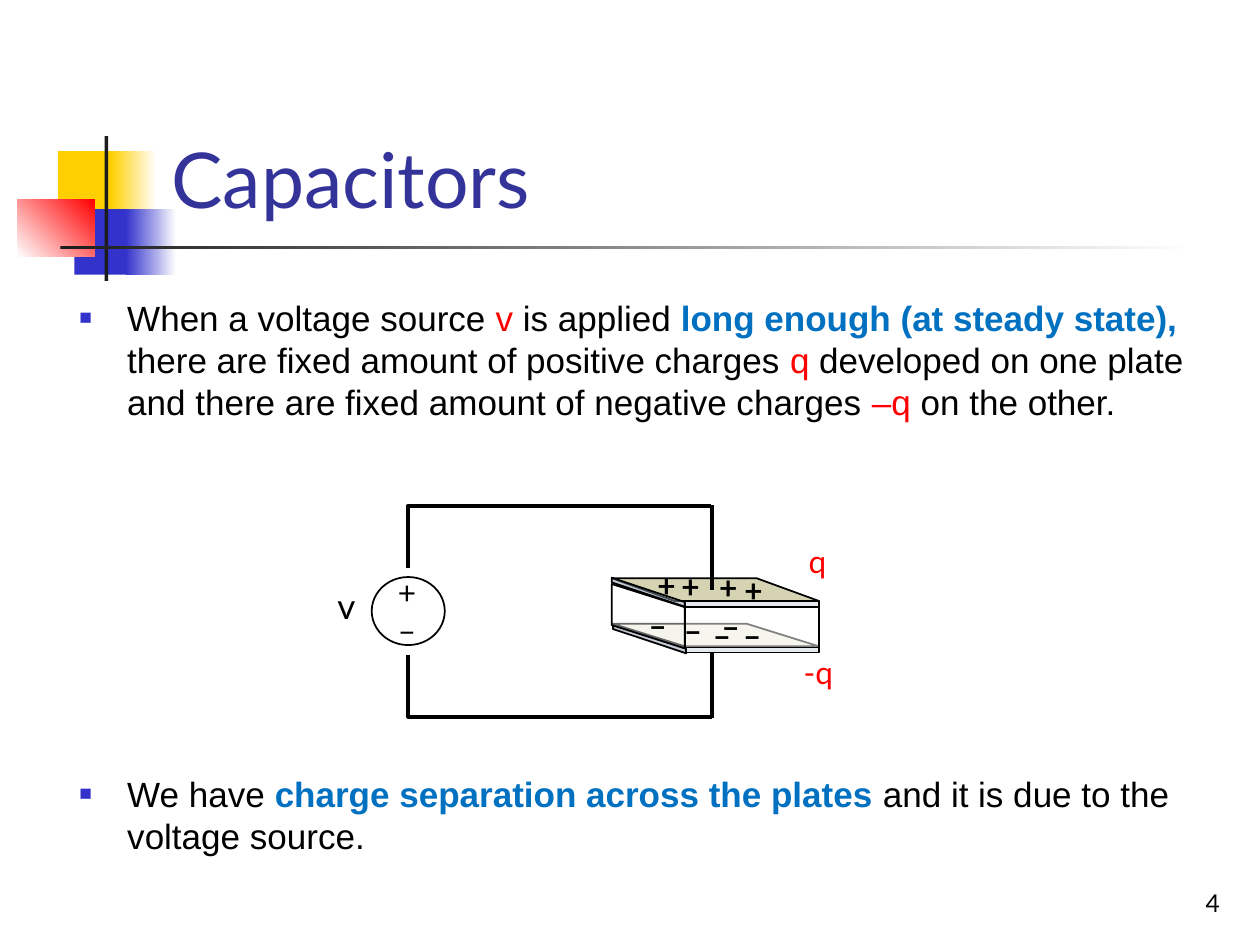
from lxml import etree
from pptx import Presentation
from pptx.dml.color import RGBColor
from pptx.enum import shapes, text
from pptx.oxml import ns
from pptx.util import Inches, Pt

BLACK, WHITE = RGBColor(0, 0, 0), RGBColor(255, 255, 255)
RED, YELLOW = RGBColor(255, 0, 0), RGBColor(0xFF, 0xCF, 0x01)
BLUE, ACCENT = RGBColor(0x33, 0x33, 0xCC), RGBColor(0x00, 0x70, 0xC0)
NAVY, CHARCOAL = RGBColor(0x33, 0x33, 0x99), RGBColor(0x1C, 0x1C, 0x1C)
OLIVE, STEEL = RGBColor(0xAC, 0xA9, 0x64), RGBColor(0x84, 0x95, 0xA9)
RECT = shapes.MSO_SHAPE.RECTANGLE
SLANT = shapes.MSO_SHAPE.PARALLELOGRAM
CENTER, RIGHT = text.PP_ALIGN.CENTER, text.PP_ALIGN.RIGHT

TITLE = "Capacitors"
# Space before in points, then (words, colour, bold)
BULLETS = [
    (0, [("When a voltage source ", BLACK, False), ("v", RED, False),
         (" is applied ", BLACK, False),
         ("long enough (at steady state), ", ACCENT, True),
         ("there are fixed amount of positive charges ", BLACK, False),
         ("q", RED, False),
         (" developed on one plate and there are fixed amount of negative charges ", BLACK, False),
         ("–q ", RED, False), ("on the other.", BLACK, False)]),
    (200, [("We have ", BLACK, False),
           ("charge separation across the plates ", ACCENT, True),
           ("and it is due to the voltage source.", BLACK, False)]),
]
# Box, start colour, end colour (None if solid), gradient angle
ORNAMENTS = [
    ((0.46, 1.2, 0.48, 0.52), YELLOW, None, 0),
    ((0.88, 1.2, 0.36, 0.52), YELLOW, WHITE, 0),
    ((0.59, 1.66, 0.46, 0.52), BLUE, None, 0),
    ((1, 1.66, 0.4, 0.52), BLUE, WHITE, 0),
    ((0.14, 1.58, 0.61, 0.46), WHITE, RED, 45),
    ((0.83, 1.08, 0.03, 1.15), CHARCOAL, None, 0),
    ((0.48, 1.95, 9, 0.03), CHARCOAL, WHITE, 0),
]
# Preset, box, colour, opacity %, slant, rotation, flipped vertically
PLATES = [
    (SLANT, (4.86, 4.59, 1.64, 0.18), OLIVE, 50, 2.74, 0, True),
    (RECT, (5.44, 4.77, 1.06, 0.05), STEEL, 20, None, 0, False),
    (SLANT, (5.03, 4.41, 0.23, 0.58), STEEL, 50, 0.84, 270, False),
    (SLANT, (4.86, 4.95, 1.64, 0.18), OLIVE, 20, 3.2, 0, True),
    (RECT, (5.44, 5.13, 1.06, 0.05), STEEL, 20, None, 0, False),
    (SLANT, (5.04, 4.78, 0.23, 0.58), STEEL, 50, 0.84, 270, False),
    (RECT, (5.44, 4.82, 1.06, 0.32), WHITE, 50, None, 0, False),
    (SLANT, (4.89, 4.6, 0.51, 0.58), WHITE, 40, 0.36, 270, False),
]
LEADS = [(5.65, 4.68, 5.65, 4.01), (5.65, 5.68, 5.65, 5.18)]
# Ends before a quarter turn, bend in thousandths of a percent
WIRES = [((4.19, 3.05, 4.69, 5.46), 97900), ((4.69, 4.24, 4.2, 6.65), 99600)]
CHARGES = {
    "+": [(5.12, 4.44), (5.31, 4.45), (5.61, 4.46), (5.81, 4.48)],
    "–": [(5.05, 4.76), (5.33, 4.8), (5.56, 4.84), (5.63, 4.77), (5.8, 4.84)],
}


def inches(values):
    return [Inches(value) for value in values]


def add_child(parent, tag, **attributes):
    child = etree.SubElement(parent, ns.qn(tag))
    for name, value in attributes.items():
        child.set(name, str(value))
    return child


def add_plain(page, preset, box):
    shape = page.shapes.add_shape(preset, *inches(box))
    shape.shadow.inherit = False
    return shape


def outline(shape, width):
    shape.line.color.rgb = BLACK
    shape.line.width = Pt(width)


def add_label(page, words, box, size=18, color=BLACK, bold=False, align=CENTER, wrap=False):
    label = page.shapes.add_textbox(*inches(box))
    frame = label.text_frame
    frame.word_wrap = wrap
    frame.text = words
    for para in frame.paragraphs:
        para.alignment = align
        para.font.name, para.font.size = "Lato", Pt(size)
        para.font.color.rgb, para.font.bold = color, bold
    return label


def add_wire(page, kind, ends):
    wire = page.shapes.add_connector(kind, *inches(ends))
    outline(wire, 2.25)
    add_child(wire._element.spPr, "a:effectLst")
    return wire


def add_ornaments(page):
    """Draw the decoration behind the placeholders."""
    for order, (box, start, end, angle) in enumerate(ORNAMENTS):
        shape = add_plain(page, RECT, box)
        shape.line.fill.background()
        if end is None:
            shape.fill.solid()
            shape.fill.fore_color.rgb = start
        else:
            shape.fill.gradient()
            shape.fill.gradient_angle = angle
            for stop, color in zip(shape.fill.gradient_stops, (start, end)):
                stop.color.rgb = color
        page.shapes._spTree.insert(2 + order, shape._element)


def fill_title(title):
    title.left, title.top, title.width, title.height = inches((1.26, 0.23, 8.52, 1.6))
    title.text_frame.text = TITLE
    title.text_frame.vertical_anchor = text.MSO_ANCHOR.BOTTOM
    para = title.text_frame.paragraphs[0]
    para.alignment = text.PP_ALIGN.LEFT
    para.font.name, para.font.size = "Lato", Pt(44)
    para.font.color.rgb = NAVY


def fill_body(body):
    body.left, body.top, body.width, body.height = inches((0.53, 2.3, 8.97, 4.5))
    frame = body.text_frame
    frame.auto_size = text.MSO_AUTO_SIZE.NONE
    for index, (gap, spans) in enumerate(BULLETS):
        para = frame.add_paragraph() if index else frame.paragraphs[0]
        para.space_before, para.line_spacing = Pt(gap), Pt(24)
        props = para._p.get_or_add_pPr()
        props.set("marL", str(Inches(0.38)))
        props.set("indent", str(Inches(-0.38)))
        add_child(add_child(props, "a:buClr"), "a:srgbClr", val=BLUE)
        add_child(props, "a:buSzPct", val=60000)
        add_child(props, "a:buFont", typeface="Arial")
        add_child(props, "a:buChar", char="■")
        para.font.name, para.font.size = "Arial", Pt(20)
        for words, color, bold in spans:
            span = para.add_run()
            span.text = words
            span.font.color.rgb, span.font.bold = color, bold


def add_capacitor(page):
    for preset, box, color, opacity, slant, rotation, flipped in PLATES:
        plate = add_plain(page, preset, box)
        plate.rotation = rotation
        if slant is not None:
            plate.adjustments[0] = slant
        if flipped:
            plate._element.spPr.xfrm.set("flipV", "1")
        plate.fill.solid()
        plate.fill.fore_color.rgb = color
        tint = plate._element.spPr.find(ns.qn("a:solidFill"))[0]
        add_child(tint, "a:alpha", val=opacity * 1000)
        outline(plate, 1)
    for ends in LEADS:
        add_wire(page, shapes.MSO_CONNECTOR.STRAIGHT, ends)
    for sign, places in CHARGES.items():
        for place in places:
            add_label(page, sign, (*place, 0.34, 0.4), bold=True)
    add_label(page, "q", (6.32, 4.25, 0.84, 0.4), color=RED, align=None, wrap=True)
    add_label(page, "-q", (6.28, 5.13, 0.84, 0.4), color=RED, align=None, wrap=True)


def add_source(page):
    add_label(page, "v", (2.58, 4.59, 0.34, 0.44), size=20)
    circle = add_plain(page, shapes.MSO_SHAPE.OVAL, (2.95, 4.58, 0.58, 0.54))
    circle.fill.background()
    outline(circle, 1)
    add_label(page, "+\n–", (3.06, 4.5, 0.34, 0.7))
    for ends, bend in WIRES:
        wire = add_wire(page, shapes.MSO_CONNECTOR.ELBOW, ends)
        props = wire._element.spPr
        props.xfrm.set("rot", str(270 * 60000))
        guides = props.find(ns.qn("a:prstGeom")).find(ns.qn("a:avLst"))
        add_child(guides, "a:gd", name="adj1", fmla=f"val {bend}")


def main():
    deck = Presentation()
    deck.slide_width, deck.slide_height = Inches(10), Inches(7.5)
    page = deck.slides.add_slide(deck.slide_layouts[1])
    fill_title(page.shapes.title)
    fill_body(page.placeholders[1])
    add_ornaments(page)
    add_capacitor(page)
    add_source(page)
    number = add_label(page, "4", (7.7, 6.83, 2.08, 0.5), size=14, align=RIGHT, wrap=True)
    number.text_frame.vertical_anchor = text.MSO_ANCHOR.BOTTOM
    deck.save("out.pptx")


if __name__ == "__main__":
    main()
